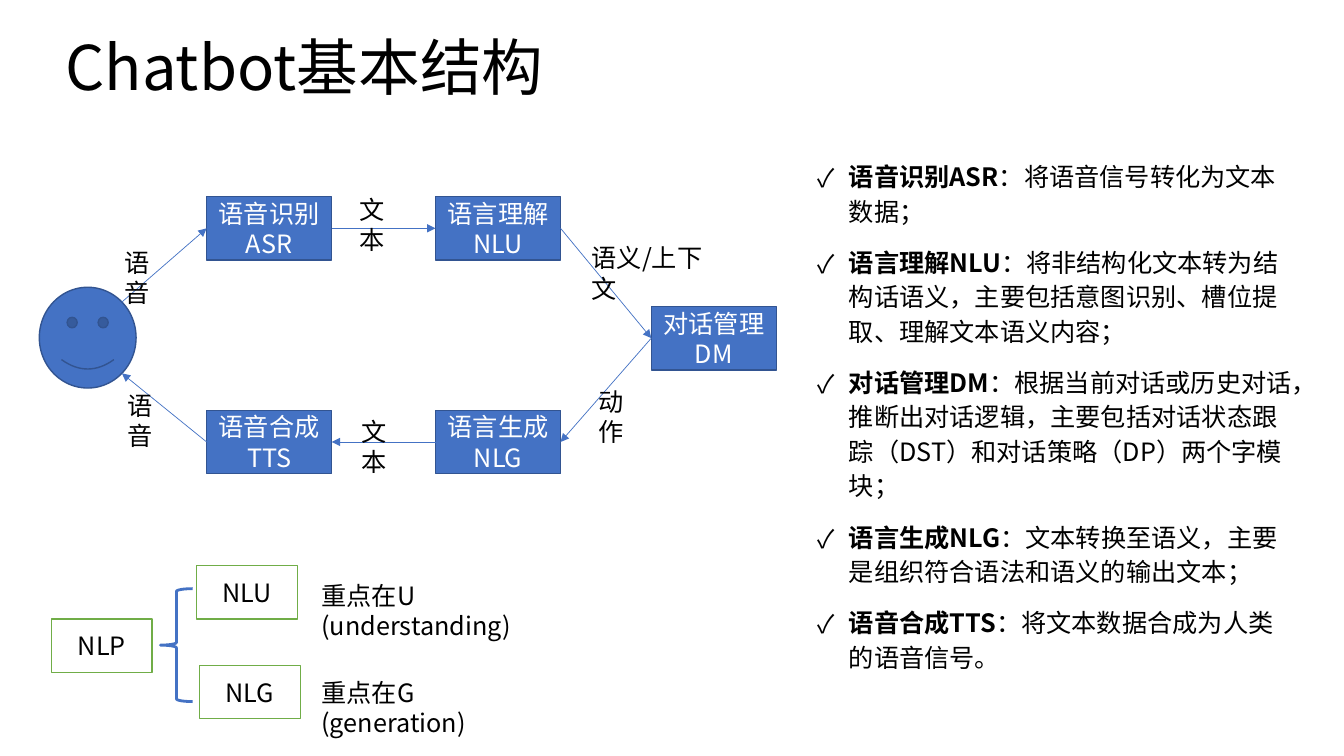
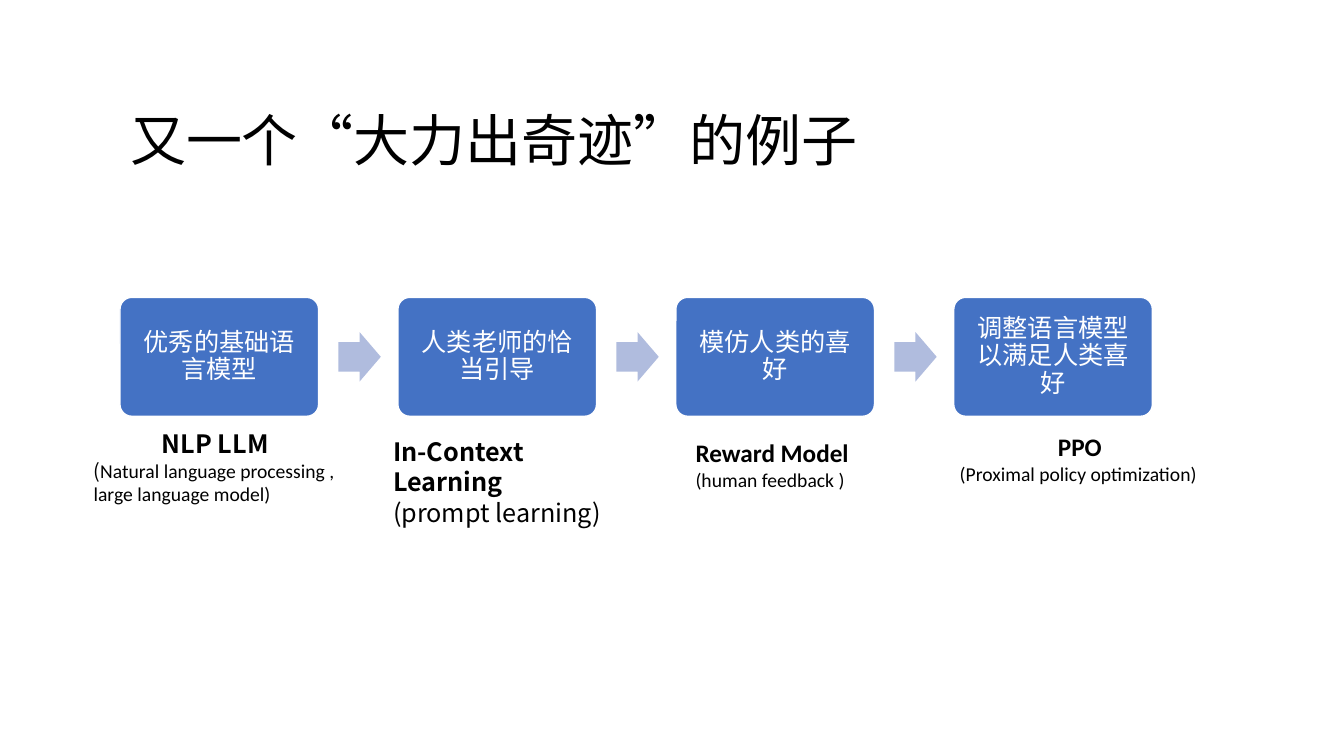
from dataclasses import dataclass
from math import sqrt
from typing import NamedTuple

from lxml import etree
from pptx import Presentation
from pptx.dml.color import RGBColor
from pptx.enum.shapes import MSO_CONNECTOR, MSO_SHAPE
from pptx.enum.text import MSO_ANCHOR, MSO_AUTO_SIZE, PP_ALIGN
from pptx.oxml.ns import qn
from pptx.util import Inches, Pt

LEFT, CENTER = PP_ALIGN.LEFT, PP_ALIGN.CENTER
MIDDLE, TOP_ANCHOR = MSO_ANCHOR.MIDDLE, MSO_ANCHOR.TOP
NO_AUTOFIT = MSO_AUTO_SIZE.NONE
STRAIGHT = MSO_CONNECTOR.STRAIGHT
RECTANGLE, ROUNDED = MSO_SHAPE.RECTANGLE, MSO_SHAPE.ROUNDED_RECTANGLE
SMILEY, BRACE, ARROW = MSO_SHAPE.SMILEY_FACE, MSO_SHAPE.LEFT_BRACE, MSO_SHAPE.RIGHT_ARROW
TOP, LEFT_SIDE, BOTTOM, RIGHT_SIDE = range(4)
TITLE_AND_CONTENT, TITLE_ONLY = 1, 5


@dataclass(frozen=True)
class Theme:
    """Colours, fonts and type sizes of the deck."""
    blue: str = "4472C4"
    outline: str = "325491"
    green: str = "70AD47"
    pale: str = "B0BCDE"
    ink: str = "000000"
    paper: str = "FFFFFF"
    cjk: str = "Noto Sans CJK SC"
    latin: str = "Calibri"
    title: int = 44
    long_title: int = 40
    text: int = 18
    small: int = 14


THEME = Theme()


class Box(NamedTuple):
    """A rectangle in inches."""
    left: float
    top: float
    width: float
    height: float

    def inside(self, left, top, width, height):
        """Return a box measured from this box's corner."""
        return Box(self.left + left, self.top + top, width, height)

    def emu(self):
        """Return the four lengths for python-pptx."""
        return [Inches(length) for length in self]


def style(paragraph, size=THEME.text, color=THEME.ink, font=THEME.cjk, bold=None, align=LEFT):
    """Set the font and alignment of a whole paragraph."""
    paragraph.alignment = align
    paragraph.font.size = Pt(size)
    paragraph.font.bold = bold
    paragraph.font.color.rgb = RGBColor.from_string(color)
    paragraph.font.name = font
    defaults = paragraph._p.get_or_add_pPr().find(qn("a:defRPr"))
    etree.SubElement(defaults, qn("a:ea"), typeface=THEME.cjk)


def next_paragraph(frame, index):
    """Return the first paragraph, or a new one after it."""
    return frame.add_paragraph() if index else frame.paragraphs[0]


def write(frame, lines, **look):
    """Write plain lines in one style."""
    for index, line in enumerate(lines):
        paragraph = next_paragraph(frame, index)
        paragraph.add_run().text = line
        style(paragraph, **look)


def place(placeholder, box, anchor):
    """Move a placeholder and fix its text frame."""
    placeholder.left, placeholder.top, placeholder.width, placeholder.height = box.emu()
    frame = placeholder.text_frame
    frame.auto_size = NO_AUTOFIT
    frame.word_wrap = True
    frame.vertical_anchor = anchor
    return frame


def add_title(slide, box, text, size, spacing):
    """Fill the slide's title."""
    frame = place(slide.shapes.title, box, MIDDLE)
    write(frame, [text], size=size)
    frame.paragraphs[0].line_spacing = spacing


def add_text(slide, box):
    """Add a wrapping text box and return its frame."""
    frame = slide.shapes.add_textbox(*box.emu()).text_frame
    frame.word_wrap = True
    return frame


def add_figure(slide, preset, box, fill=None, line=None, width=1):
    """Add a preset shape with flat fill and line."""
    figure = slide.shapes.add_shape(preset, *box.emu())
    figure.shadow.inherit = False
    if fill:
        figure.fill.solid()
        figure.fill.fore_color.rgb = RGBColor.from_string(fill)
    else:
        figure.fill.background()
    if line:
        figure.line.color.rgb = RGBColor.from_string(line)
        figure.line.width = Pt(width)
    else:
        figure.line.fill.background()
    return figure


def add_flow(slide, start, end):
    """Draw an arrow between points or (shape, side) pairs."""
    flow = slide.shapes.add_connector(STRAIGHT, 0, 0, 0, 0)
    if isinstance(start[0], float):
        flow.begin_x, flow.begin_y = map(Inches, start)
    else:
        flow.begin_connect(*start)
    if isinstance(end[0], float):
        flow.end_x, flow.end_y = map(Inches, end)
    else:
        flow.end_connect(*end)
    flow.line.color.rgb = RGBColor.from_string(THEME.blue)
    flow.line.width = Pt(0.5)
    etree.SubElement(flow.line._get_or_add_ln(), qn("a:tailEnd"), type="triangle")
    etree.SubElement(flow._element.spPr, qn("a:effectLst"))


def add_dialogue_loop(slide, region):
    """Draw the loop from speech to dialogue manager and back."""
    face = region.inside(0, 0.9, 0.96, 1)
    add_figure(slide, SMILEY, face, THEME.blue, THEME.outline)
    modules = {}
    for name, code, left, top in [
        ("语音识别", "ASR", 1.66, 0), ("语言理解", "NLU", 3.93, 0), ("对话管理", "DM", 6.07, 1.09),
        ("语言生成", "NLG", 3.93, 2.12), ("语音合成", "TTS", 1.66, 2.12),
    ]:
        module = add_figure(slide, RECTANGLE, region.inside(left, top, 1.24, 0.63),
                            THEME.blue, THEME.outline)
        write(module.text_frame, [name, code], color=THEME.paper, align=CENTER)
        modules[code] = module

    cheek_x = face.left + face.width / 2 * (1 + 1 / sqrt(2))
    middle_y, reach = face.top + face.height / 2, face.height / 2 / sqrt(2)
    asr, nlu, dm, nlg, tts = modules.values()
    for start, end in [
        ((cheek_x, middle_y - reach), (asr, LEFT_SIDE)),
        ((asr, RIGHT_SIDE), (nlu, LEFT_SIDE)),
        ((nlu, RIGHT_SIDE), (dm, LEFT_SIDE)),
        ((dm, LEFT_SIDE), (nlg, RIGHT_SIDE)),
        ((nlg, LEFT_SIDE), (tts, RIGHT_SIDE)),
        ((tts, LEFT_SIDE), (cheek_x, middle_y + reach)),
    ]:
        add_flow(slide, start, end)

    for label, left, top, width in [
        ("语音", 0.75, 0.45, 0.68), ("语音", 0.78, 1.87, 0.68), ("文本", 3.08, -0.07, 0.68),
        ("文本", 3.1, 2.13, 0.68), ("语义/上下文", 5.38, 0.41, 1.5), ("动作", 5.45, 1.83, 0.68),
    ]:
        write(add_text(slide, region.inside(left, top, width, 0.4)), [label])


def add_module_list(slide, box, entries):
    """Fill the body with ticked definitions."""
    frame = place(slide.placeholders[1], box, TOP_ANCHOR)
    for index, (term, meaning) in enumerate(entries):
        paragraph = next_paragraph(frame, index)
        properties = paragraph._p.get_or_add_pPr()
        properties.set("marL", str(Inches(0.31)))
        properties.set("indent", str(-Inches(0.31)))
        etree.SubElement(properties, qn("a:buFont"), typeface=THEME.cjk)
        etree.SubElement(properties, qn("a:buChar"), char="✓")
        term_run = paragraph.add_run()
        term_run.text = term
        term_run.font.bold = True
        paragraph.add_run().text = meaning
        style(paragraph)
        paragraph.line_spacing = 1.14
        paragraph.space_before = Pt(6 if index else 0)
        paragraph.space_after = Pt(6)


def add_nlp_split(slide, region):
    """Show NLP divided into understanding and generation."""
    for name, left, top in [("NLP", 0, 0.53), ("NLU", 1.44, 0), ("NLG", 1.47, 0.99)]:
        field = add_figure(slide, RECTANGLE, region.inside(left, top, 1, 0.53),
                           THEME.paper, THEME.green)
        write(field.text_frame, [name], align=CENTER)
    add_figure(slide, BRACE, region.inside(1.08, 0.23, 0.32, 1.12), line=THEME.blue, width=2)
    for focus, top, width in [("重点在U (understanding)", 0.1, 2.96),
                              ("重点在G (generation)", 1.06, 2.52)]:
        write(add_text(slide, region.inside(2.58, top, width, 0.4)), [focus])


def add_process(slide, region, steps):
    """Draw equal steps with an arrow in each gap."""
    step_width, arrow_width, arrow_height = 1.97, 0.42, 0.49
    pitch = (region.width - step_width) / (len(steps) - 1)
    for index, step in enumerate(steps):
        left = index * pitch
        if index:
            gap_arrow = add_figure(
                slide, ARROW,
                region.inside(left - 0.59, (region.height - arrow_height) / 2,
                              arrow_width, arrow_height),
                THEME.pale)
            gap_arrow.adjustments[0] = 0.6
        card = add_figure(slide, ROUNDED, region.inside(left, 0, step_width, region.height),
                          THEME.blue, THEME.paper)
        card.adjustments[0] = 0.1
        write(card.text_frame, [step], color=THEME.paper, align=CENTER)
        card.text_frame.paragraphs[0].line_spacing = 0.9


def add_caption(slide, box, term, detail, font, detail_font, detail_size, align):
    """Write a bold term with its explanation below."""
    frame = add_text(slide, box)
    write(frame, [term], font=font, bold=True, align=align)
    explanation = frame.add_paragraph()
    for part in detail:
        explanation.add_run().text = part
    style(explanation, size=detail_size, font=detail_font)
    if font != detail_font:
        explanation.runs[0].font.name = font


def build_structure(deck):
    """Build the chatbot structure slide."""
    slide = deck.slides.add_slide(deck.slide_layouts[TITLE_AND_CONTENT])
    add_title(slide, Box(0.55, 0.3, 11.5, 0.81), "Chatbot基本结构", THEME.title, 0.9)
    add_dialogue_loop(slide, Box(0.39, 1.95, 7.31, 2.75))
    add_module_list(slide, Box(8.01, 1.51, 4.94, 5.24), [
        ("语音识别ASR", "：将语音信号转化为文本数据；"),
        ("语言理解NLU", "：将非结构化文本转为结构话语义，主要包括意图识别、槽位提取、理解文本语义内容；"),
        ("对话管理DM", "：根据当前对话或历史对话，推断出对话逻辑，"
                     "主要包括对话状态跟踪（DST）和对话策略（DP）两个字模块；"),
        ("语言生成NLG", "：文本转换至语义，主要是组织符合语法和语义的输出文本；"),
        ("语音合成TTS", "：将文本数据合成为人类的语音信号。"),
    ])
    add_nlp_split(slide, Box(0.51, 5.61, 5.54, 1.52))


def build_example(deck):
    """Build the training process slide."""
    slide = deck.slides.add_slide(deck.slide_layouts[TITLE_ONLY])
    add_title(slide, Box(1.19, 1, 8.01, 0.77), "又一个“大力出奇迹”的例子", THEME.long_title, 1.0)
    add_process(slide, Box(1.19, 2.95, 10.24, 1.18), [
        "优秀的基础语言模型", "人类老师的恰当引导", "模仿人类的喜好", "调整语言模型以满足人类喜好"])
    cjk, latin, text, small = THEME.cjk, THEME.latin, THEME.text, THEME.small
    for caption in [
        (Box(0.83, 4.2, 2.61, 0.88), "NLP LLM",
         ["(", "Natural language processing , large language model)"], cjk, latin, small, CENTER),
        (Box(3.8, 4.28, 2.51, 0.71), "In-Context Learning", ["(prompt learning)"],
         cjk, cjk, text, LEFT),
        (Box(6.8, 4.29, 1.79, 0.64), "Reward Model", ["(human feedback )"],
         latin, latin, small, LEFT),
        (Box(9.42, 4.23, 2.58, 0.64), "PPO", ["(Proximal policy optimization)"],
         latin, latin, small, CENTER),
    ]:
        add_caption(slide, *caption)


def main():
    """Build and save the deck."""
    deck = Presentation()
    deck.slide_width, deck.slide_height = Inches(13.33), Inches(7.5)
    build_structure(deck)
    build_example(deck)
    deck.save("out.pptx")


if __name__ == "__main__":
    main()
